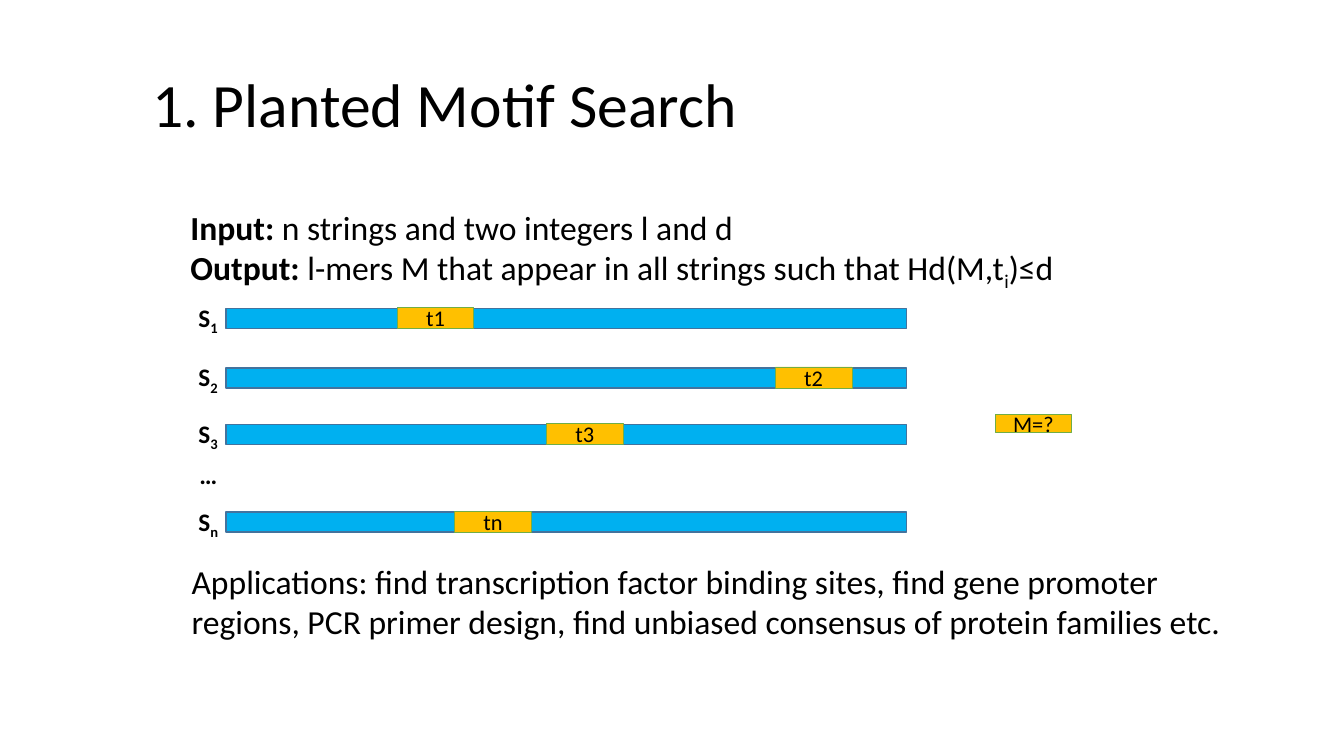
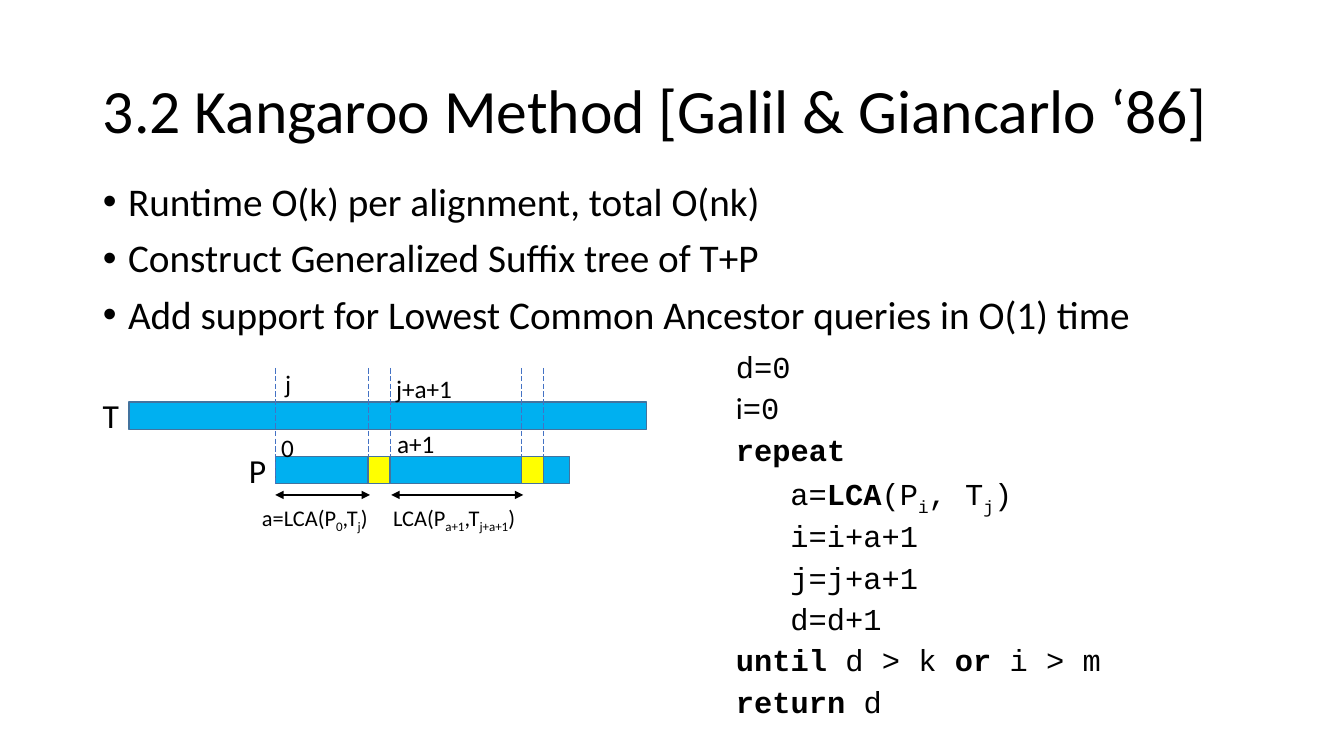
from dataclasses import dataclass

from lxml.etree import SubElement
from pptx import Presentation
from pptx.dml.color import RGBColor
from pptx.enum.dml import MSO_LINE
from pptx.enum.shapes import MSO_CONNECTOR, MSO_SHAPE
from pptx.enum.text import MSO_ANCHOR, MSO_AUTO_SIZE, PP_ALIGN
from pptx.oxml.ns import qn
from pptx.util import Pt

SCALE = 9144


@dataclass(frozen=True)
class Theme:
    """Colours, fonts and type sizes shared by the slides."""
    ink: str = "000000"
    bar: str = "00B0F0"
    edge: str = "43739E"
    motif: str = "FFC000"
    rim: str = "70AD47"
    gap: str = "FFFF00"
    guide: str = "4472C4"
    font: str = "Calibri"
    mono: str = "Courier New"
    title: int = 44
    list: int = 28
    body: int = 24
    code: float = 21.7
    label: int = 18
    small: int = 16


THEME = Theme()


def px(n):
    """Turn px into EMU."""
    return int(n * SCALE)


def place(shape, box):
    """Move a shape to a box in px."""
    shape.left, shape.top, shape.width, shape.height = map(px, box)


def write(frame, paras, size, font=THEME.font, align=PP_ALIGN.LEFT, lead=None,
          before=None, indent=None, hang=0):
    """Fill a frame; a run is text or (text, marks): b bold, s sub, p plain font."""
    for i, runs in enumerate(paras):
        para = frame.paragraphs[0] if i == 0 else frame.add_paragraph()
        para.alignment = align
        if lead:
            para.line_spacing = lead
        if before is not None:
            para.space_before = Pt(before)
        if indent is not None:
            props = para._p.get_or_add_pPr()
            props.set("marL", str(px(indent)))
            props.set("indent", str(px(-hang)))
        for item in [runs] if isinstance(runs, str) else runs:
            text, marks = (item, "") if isinstance(item, str) else item
            run = para.add_run()
            run.text = text
            run.font.size = Pt(size)
            run.font.name = THEME.font if "p" in marks else font
            run.font.bold = "b" in marks
            run.font.color.rgb = RGBColor.from_string(THEME.ink)
            if "s" in marks:
                run._r.get_or_add_rPr().set("baseline", "-25000")


def label(shapes, box, paras, size=THEME.label, wrap=False, **fmt):
    """Add a text box."""
    shape = shapes.add_textbox(*map(px, box))
    shape.text_frame.word_wrap = wrap
    write(shape.text_frame, paras, size, **fmt)
    return shape


def block(shapes, box, fill, edge=THEME.edge, width=1, text=None):
    """Add a filled rectangle, with centred text if given."""
    shape = shapes.add_shape(MSO_SHAPE.RECTANGLE, *map(px, box))
    shape.shadow.inherit = False
    shape.fill.solid()
    shape.fill.fore_color.rgb = RGBColor.from_string(fill)
    shape.line.color.rgb = RGBColor.from_string(edge)
    shape.line.width = Pt(width)
    if text:
        shape.text_frame.vertical_anchor = MSO_ANCHOR.MIDDLE
        write(shape.text_frame, [text], THEME.small, align=PP_ALIGN.CENTER)


def motif(shapes, left, top, text, high=21):
    """Add one motif tile."""
    block(shapes, (left, top, 76, high), THEME.motif, THEME.rim, 0.5, text)


def rule(shapes, start, end, color, width, arrows=False):
    """Add a dashed guide, or a line with an arrowhead at both ends."""
    line = shapes.add_connector(MSO_CONNECTOR.STRAIGHT, *map(px, start + end))
    line.line.color.rgb = RGBColor.from_string(color)
    line.line.width = Pt(width)
    if arrows:
        for tag in ("a:headEnd", "a:tailEnd"):
            SubElement(line.line._get_or_add_ln(), qn(tag), type="triangle")
    else:
        line.line.dash_style = MSO_LINE.LONG_DASH
    SubElement(line._element.spPr, qn("a:effectLst"))


def start(deck, layout, title, box):
    """Add a slide with its title."""
    slide = deck.slides.add_slide(deck.slide_layouts[layout])
    place(slide.shapes.title, box)
    frame = slide.shapes.title.text_frame
    frame.auto_size = MSO_AUTO_SIZE.NONE
    frame.vertical_anchor = MSO_ANCHOR.MIDDLE
    write(frame, [title], THEME.title, lead=0.9)
    return slide


def strings(shapes, left, top):
    """Draw the named strings, each with its planted motif."""
    rows = [("1", 0, 170), ("2", 59, 545), ("3", 115, 318), ("n", 202, 227)]
    for name, down, shift in rows:
        block(shapes, (left + 37, top + down, 675, 20), THEME.bar)
        motif(shapes, left + 37 + shift, top + down - 1, "t" + name)
        label(shapes, (left, top + down - 11, 40, 40), [[("S", "b"), (name, "bs")]])
    label(shapes, (left + 1, top + 145, 38, 40), [[("…", "b")]])


def search(deck):
    """Build the motif search slide."""
    slide = start(deck, 5, "1. Planted Motif Search", (141, 44, 900, 125))
    shapes = slide.shapes
    label(shapes, (179, 200, 884, 131), [
        [("Input:", "b"), " n strings and two integers l and d"],
        [("Output:", "b"), " l-mers M that appear in all strings such that Hd(M,t",
         ("i", "s"), ")≤d"],
    ], THEME.body)
    strings(shapes, 187, 306)
    motif(shapes, 987, 411, "M=?", 18)
    note = label(shapes, (179, 553, 1046, 159), [
        "Applications: find transcription factor binding sites, find gene promoter "
        "regions, PCR primer design, find unbiased consensus of protein families etc.",
    ], THEME.body, wrap=True, indent=11).text_frame
    note.margin_left = note.margin_right = note.margin_bottom = 0
    note.margin_top = px(3)


def align(shapes, left, top):
    """Draw the pattern under the text, with guides at each mismatch."""
    block(shapes, (left + 36, top + 39, 513, 27), THEME.bar)
    block(shapes, (left + 181, top + 93, 292, 27), THEME.bar)
    for x in (181, 273, 295, 425, 447):
        rule(shapes, (left + x, top + 5), (left + x, top + 120), THEME.guide, 0.5)
    for x in (273, 425):
        block(shapes, (left + x, top + 93, 22, 27), THEME.gap)
    for x, end in ((181, 275), (296, 427)):
        rule(shapes, (left + x, top + 131), (left + end, top + 131), THEME.ink, 1, True)
    tags = [
        (0, 27, 37, "T", THEME.body),
        (145, 81, 38, "P", THEME.body),
        (181, 0, 26, "j", THEME.label),
        (291, 5, 76, "j+a+1", THEME.label),
        (177, 64, 33, "0", THEME.label),
        (292, 60, 58, "a+1", THEME.label),
        (158, 135, 128, ["a=LCA(P", ("0", "s"), ",T", ("j", "s"), ")"], THEME.small),
        (288, 135, 149, ["LCA(P", ("a+1", "s"), ",T", ("j+a+1", "s"), ")"], THEME.small),
    ]
    for x, y, wide, text, size in tags:
        label(shapes, (left + x, top + y, wide, 40), [text], size)


def code(shapes, box):
    """List the steps, with the loop body set in."""
    frame = label(shapes, box, [], wrap=True).text_frame
    steps = [
        (0, "d=0"),
        (0, [("i", "p"), "=0"]),
        (0, [("repeat", "b")]),
        (54, ["a=", ("LCA", "b"), "(P", ("i", "s"), ", T", ("j", "s"), ")"]),
        (54, "i=i+a+1"),
        (54, "j=j+a+1"),
        (54, "d=d+1"),
        (0, [("until ", "b"), "d > k ", ("or ", "b"), "i > m"]),
        (0, [("return", "b"), " d"]),
    ]
    write(frame, [runs for _, runs in steps], THEME.code, THEME.mono,
          lead=0.75, before=10)
    for para, (indent, _) in zip(frame.paragraphs, steps):
        para._p.get_or_add_pPr().set("marL", str(px(indent)))


def method(deck):
    """Build the Kangaroo method slide."""
    slide = start(deck, 1, "3.2 Kangaroo Method [Galil & Giancarlo ‘86]",
                  (92, 40, 1150, 145))
    body = slide.placeholders[1]
    place(body, (92, 176, 1050, 506))
    body.text_frame.auto_size = MSO_AUTO_SIZE.NONE
    write(body.text_frame, [
        "Runtime O(k) per alignment, total O(nk)",
        "Construct Generalized Suffix tree of T+P",
        "Add support for Lowest Common Ancestor queries in O(1) time",
    ], THEME.list, lead=0.9, before=10, indent=25, hang=25)
    code(slide.shapes, (720, 349, 535, 366))
    align(slide.shapes.add_group_shape().shapes, 92, 360)


def main():
    """Build and save the deck."""
    deck = Presentation()
    deck.slide_width, deck.slide_height = px(1333), px(750)
    search(deck)
    method(deck)
    deck.save("out.pptx")


if __name__ == "__main__":
    main()
